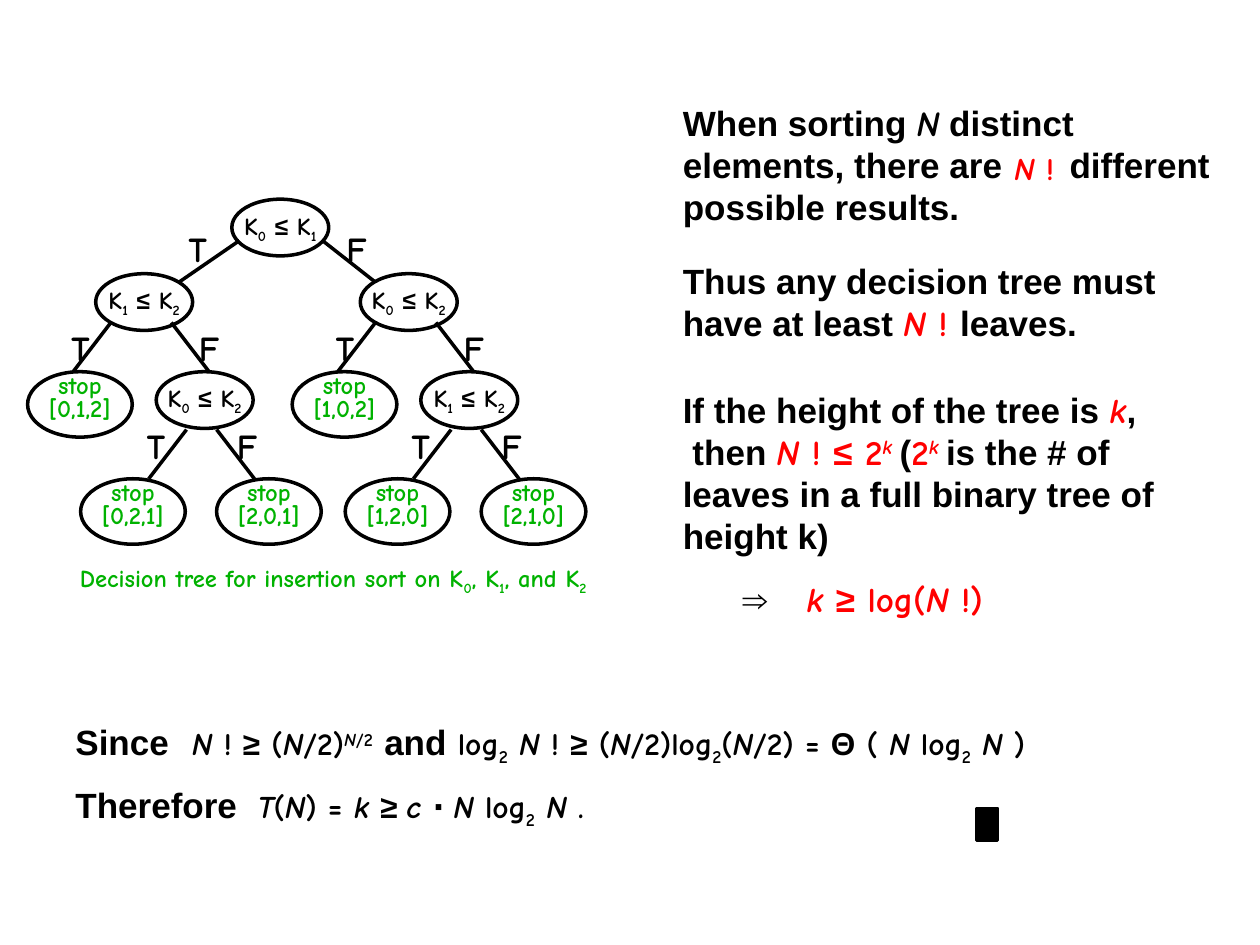
import pptx
import pptx.util
import pptx.dml.color
import pptx.enum.shapes
import pptx.enum.text
import lxml.etree
import pptx.oxml.ns

Pt = pptx.util.Pt
COLORS = {"black": "000000", "green": "00B200", "red": "FF0000"}
BASELINES = {"sub": "-25000", "super": "30000"}
CENTER = pptx.enum.text.PP_ALIGN.CENTER
MIDDLE = pptx.enum.text.MSO_ANCHOR.MIDDLE


def write(shape, paragraphs, size=20, color="black", align=None, anchor=None,
          insets=(7.2, 3.6, 7.2, 3.6), wrap=False, grow=False, line_spacing=None, tab=None):
    """Each paragraph is a list of (text, styles); styles are words such as 'arial italic'."""
    frame = shape.text_frame
    frame.word_wrap = wrap
    if grow:
        frame.auto_size = pptx.enum.text.MSO_AUTO_SIZE.SHAPE_TO_FIT_TEXT
    frame.vertical_anchor = anchor
    frame.margin_left, frame.margin_top, frame.margin_right, frame.margin_bottom = map(Pt, insets)
    for index, runs in enumerate(paragraphs):
        paragraph = frame.add_paragraph() if index else frame.paragraphs[0]
        paragraph.alignment = align
        paragraph.line_spacing = line_spacing
        if tab:
            properties = paragraph._p.get_or_add_pPr()
            tabs = lxml.etree.SubElement(properties, pptx.oxml.ns.qn("a:tabLst"))
            lxml.etree.SubElement(tabs, pptx.oxml.ns.qn("a:tab"), pos=str(Pt(tab)), algn="l")
        for text, styles in runs:
            words = styles.split()
            run = paragraph.add_run()
            run.text = text
            run.font.name = "Arial" if "arial" in words else "Comic Neue"
            run.font.size = Pt(20 if "big" in words else size)
            run.font.bold = True
            run.font.italic = "italic" in words
            shade = COLORS["red" if "red" in words else color]
            run.font.color.rgb = pptx.dml.color.RGBColor.from_string(shade)
            for word in words:
                if word in BASELINES:
                    run._r.get_or_add_rPr().set("baseline", BASELINES[word])


presentation = pptx.Presentation()
presentation.slide_width, presentation.slide_height = Pt(720), Pt(540)
slide = presentation.slides.add_slide(presentation.slide_layouts[6])
black = pptx.dml.color.RGBColor.from_string(COLORS["black"])

# Decision tree: a root and two subtrees of the same form
subtree_step = 151.2
questions = [(132.5, 113.8, "0", "1")]
leaves = []
edges = [(136.8, 137.5, 102.2, 161.3), (184.3, 137.5, 214.6, 161.3)]
answers = [("T", 102.2, 132.5, 21.6), ("F", 193, 132.5, 21.6)]
subtrees = [
    (("1", "2"), ("0", "2"), ("[0,1,2]", "[0,2,1]", "[2,0,1]")),
    (("0", "2"), ("1", "2"), ("[1,0,2]", "[1,2,0]", "[2,1,0]")),
]
for number, (upper, lower, orders) in enumerate(subtrees):
    shift = number * subtree_step
    questions += [(54.7 + shift, 156.4, *upper), (89.3 + shift, 212.4, *lower)]
    leaf_places = [(15.8, 212.4), (46.1, 273.6), (123.8, 273.6)]
    leaves += [(x + shift, y, order) for (x, y), order in zip(leaf_places, orders)]
    for x, y, end_x, end_y in [(63.4, 184.3, 41.8, 212.4), (97.9, 184.3, 119.5, 212.4),
                               (106.6, 245.5, 85, 273.6), (123.8, 245.5, 145.4, 273.6)]:
        edges.append((x + shift, y, end_x + shift, end_y))
    for letter, x, y in [("T", 37.4, 189.4), ("F", 110.9, 189.4),
                         ("T", 80.6, 245.5), ("F", 132.5, 245.5)]:
        answers.append((letter, x + shift, y, 17.3))

tree = slide.shapes.add_group_shape().shapes
nodes = [(x, y, 55.4, 32.4, dict(size=14),
          [[("K", ""), (left, "sub"), (" ", ""), ("≤", "arial"), (" K", ""), (right, "sub")]])
         for x, y, left, right in questions]
nodes += [(x, y, 59.8, 37.4,
           dict(size=14, color="green", line_spacing=0.8, insets=(7.2, 0, 7.2, 6.5)),
           [[("stop", "")], [(order, "")]]) for x, y, order in leaves]
for x, y, width, height, style, paragraphs in nodes:
    node = tree.add_shape(pptx.enum.shapes.MSO_SHAPE.OVAL, Pt(x), Pt(y), Pt(width), Pt(height))
    node.shadow.inherit = False
    node.fill.background()
    node.line.color.rgb = black
    node.line.width = Pt(2)
    write(node, paragraphs, align=CENTER, anchor=MIDDLE, **style)

for x, y, end_x, end_y in edges:
    edge = tree.add_connector(pptx.enum.shapes.MSO_CONNECTOR.STRAIGHT,
                              Pt(x), Pt(y), Pt(end_x), Pt(end_y))
    edge.line.color.rgb = black
    edge.line.width = Pt(2)
    lxml.etree.SubElement(edge._element.spPr, pptx.oxml.ns.qn("a:effectLst"))

for letter, x, y, width in answers:
    answer = tree.add_textbox(Pt(x), Pt(y), Pt(width), Pt(18.7))
    write(answer, [[(letter, "")]], align=CENTER, anchor=MIDDLE, insets=(0, 3.6, 0, 3.6))

caption = tree.add_textbox(Pt(11.5), Pt(314.6), Pt(357.8), Pt(33.1))
write(caption, [[("Decision tree for insertion sort on K", ""), ("0", "sub"), (", K", ""),
                 ("1", "sub"), (", and K", ""), ("2", "sub")]],
      size=14, color="green", align=CENTER, anchor=MIDDLE)

# Argument beside the tree, and the conclusion below it
side = dict(insets=(0, 3.6, 0, 3.6), wrap=True, grow=True)
bottom = dict(size=18, wrap=True, grow=True)
texts = [
    ((390.2, 54.7, 306, 79.2), dict(side, tab=221), [
        [("When sorting ", "arial"), ("N", "italic"),
         (" distinct elements, there are\tdifferent possible results.", "arial")]]),
    ((390.2, 144.7, 275.8, 55.4), side, [
        [("Thus any decision tree must have at least ", "arial"), ("N ", "red italic"),
         ("! ", "red"), ("leaves.", "arial")]]),
    ((390.2, 218.2, 300.2, 103.7), side, [
        [("If the height of the tree is ", "arial"), ("k", "red italic"), (",", "arial")],
        [(" then ", "arial"), ("N ", "red italic"), ("! ", "red"), ("≤", "red arial"),
         (" 2", "red"), ("k ", "red italic super"), ("(", "arial"), ("2", "red"),
         ("k ", "red italic super"),
         ("is the # of leaves in a full binary tree of height k)", "arial")]]),
    ((385.2, 326.2, 221.8, 31.7),
     dict(wrap=True, grow=True, insets=(39, 3.6, 7.2, 3.6), tab=36.5), [
        [("⇒\t", "arial"), ("k ", "red italic"), ("≥", "red arial"), (" log(", "red"),
         ("N ", "red italic"), ("!)", "red")]]),
    ((36, 408.2, 653.8, 33.8), dict(bottom, tab=66.5), [
        [("Since\t", "arial big"), ("N ", "italic"), ("! ", ""), ("≥", "arial"), (" (", ""),
         ("N", "italic"), ("/2)", ""), ("N", "italic super"), ("/2", "super"), (" ", ""),
         ("and", "arial big"), (" log", ""), ("2", "sub"), (" ", ""), ("N ", "italic"),
         ("! ", ""), ("≥", "arial"), (" (", ""), ("N", "italic"), ("/2)log", ""),
         ("2", "sub"), ("(", ""), ("N", "italic"), ("/2) = ", ""), ("Θ", "arial"),
         (" ( ", ""), ("N", "italic"), (" log", ""), ("2", "sub"), (" ", ""),
         ("N", "italic"), (" )", "")]]),
    ((36, 444.2, 653.8, 33.8), dict(bottom, tab=104), [
        [("Therefore\t", "arial big"), ("T", "italic"), ("(", ""), ("N", "italic"),
         (") = ", ""), ("k ", "italic"), ("≥ ", "arial"), ("c ", "italic"), ("⋅ ", "arial"),
         ("N", "italic"), (" log", ""), ("2", "sub"), (" ", ""), ("N", "italic"),
         (" .", "")]]),
    ((572.4, 81.4, 36.7, 28.8), dict(size=18, insets=(7.2, 3.6, 0, 3.6)), [
        [("N ", "red italic"), ("!", "red")]]),
]
for place, style, paragraphs in texts:
    write(slide.shapes.add_textbox(*map(Pt, place)), paragraphs, **style)

# End-of-proof mark
mark = slide.shapes.add_shape(pptx.enum.shapes.MSO_SHAPE.RECTANGLE,
                              Pt(558), Pt(462.2), Pt(12.2), Pt(18))
mark.shadow.inherit = False
mark.fill.solid()
mark.fill.fore_color.rgb = black
mark.line.color.rgb = black
mark.line.width = Pt(2)

presentation.save("out.pptx")
